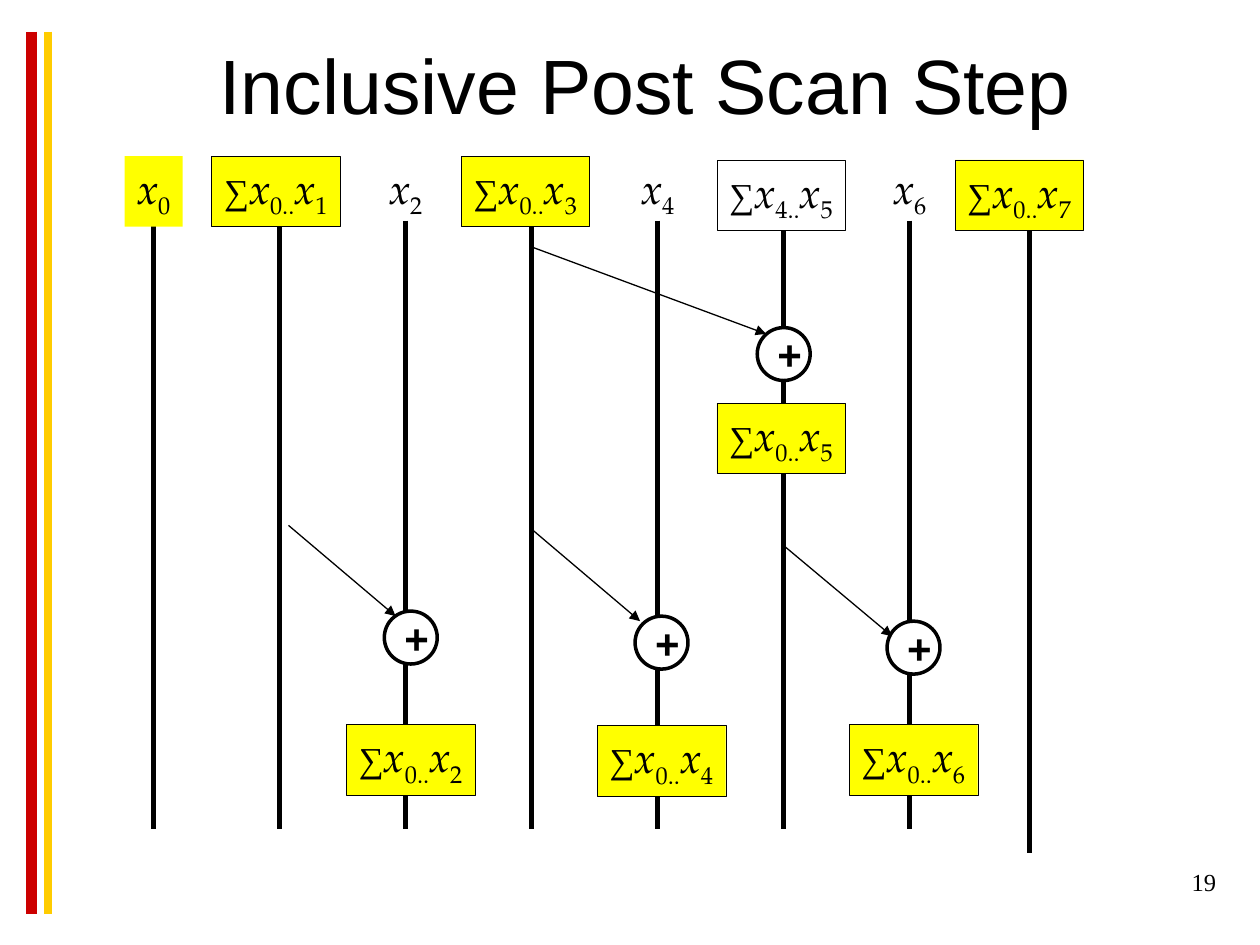
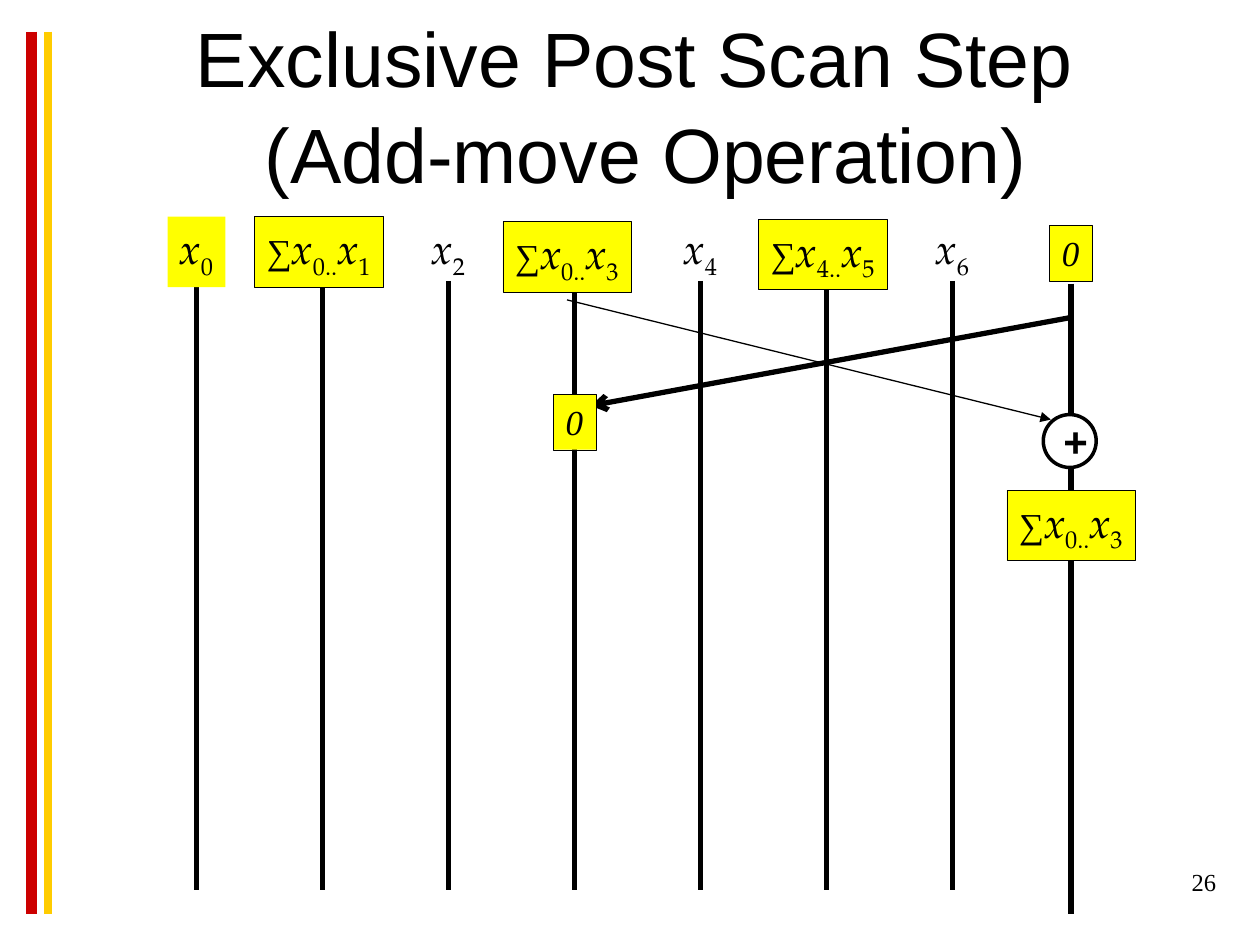
import pptx
import pptx.util
import pptx.dml.color
import pptx.enum.shapes
import pptx.enum.text
from lxml import etree
from pptx.oxml.ns import qn

Inches, Pt = pptx.util.Inches, pptx.util.Pt
SHAPE = pptx.enum.shapes.MSO_SHAPE
ANCHOR = pptx.enum.text.MSO_ANCHOR
ALIGN = pptx.enum.text.PP_ALIGN

# Shared look
BLACK, WHITE, YELLOW = "000000", "FFFFFF", "FFFF00"
SANS, SERIF, MATH = "Arial", "Times New Roman", "TeX Gyre Pagella"
BANDS = [(0.25, "CC0000", 6), (0.38, "FFCC00", 4.5)]  # x, colour, width
INPUT_SIZE, SUM_SIZE, ZERO_SIZE = (0.46, 0.56), (1.02, 0.56), (0.34, 0.44)
ADDER = 0.42

# Content: sums are (first, last, left, top, fill); adders and zeros (left, top);
# arrows (start, end, width, head)
SLIDES = [
    dict(
        title=["Inclusive Post Scan Step"], title_box=(0.5, 0.25, 9.25, 0.75),
        number="19", first_rail=(1.22, 1.75), last_rail=(8.17, 1.77),
        sums=[(0, 1, 1.68, 1.24, YELLOW), (0, 3, 3.66, 1.24, YELLOW),
              (4, 5, 5.69, 1.27, WHITE), (0, 7, 7.58, 1.27, YELLOW),
              (0, 5, 5.69, 3.2, YELLOW), (0, 2, 2.75, 5.75, YELLOW),
              (0, 4, 4.74, 5.76, YELLOW), (0, 6, 6.74, 5.75, YELLOW)],
        zeros=[],
        adders=[(6.01, 2.6), (3.05, 4.85), (5.04, 4.89), (7.04, 4.93)],
        arrows=[((4.22, 1.96), (6.08, 2.65), 0.75, "triangle"),
                ((2.29, 4.17), (3.14, 4.89), 0.75, "triangle"),
                ((4.22, 4.2), (5.08, 4.93), 0.75, "triangle"),
                ((6.22, 4.33), (7.08, 5.05), 0.75, "triangle")]),
    dict(
        title=["Exclusive Post Scan Step ", "(Add-move Operation)"],
        title_box=(0.5, 0.33, 9.25, 0.92),
        number="26", first_rail=(1.56, 2.23), last_rail=(8.5, 2.25),
        sums=[(0, 1, 2.02, 1.72, YELLOW), (4, 5, 6.02, 1.74, YELLOW),
              (0, 3, 3.99, 1.76, YELLOW), (0, 3, 7.99, 3.89, YELLOW)],
        zeros=[(8.33, 1.79), (4.39, 3.13)],
        adders=[(8.28, 3.29)],
        arrows=[((4.5, 2.38), (8.34, 3.33), 0.75, "triangle"),
                ((8.5, 2.52), (4.69, 3.22), 3, "arrow")]),
]


def rgb(value):
    return pptx.dml.color.RGBColor.from_string(value)


def add_run(p, text, size, font, bold=False, italic=False, subscript=False):
    r = p.add_run()
    r.text = text
    r.font.size, r.font.name = Pt(size), font
    r.font.bold, r.font.italic = bold, italic
    r.font.color.rgb = rgb(BLACK)
    if subscript:
        r.font._element.set("baseline", "-25000")


def add_line(s, start, end, color, width, head=None):
    c = s.shapes.add_connector(pptx.enum.shapes.MSO_CONNECTOR.STRAIGHT,
                               *map(Inches, (*start, *end)))
    c.line.color.rgb, c.line.width = rgb(color), Pt(width)
    if head:
        etree.SubElement(c.line._get_or_add_ln(), qn("a:tailEnd"), type=head)
    etree.SubElement(c._element.spPr, qn("a:effectLst"))


def add_text(s, box, align=ALIGN.LEFT):
    sp = s.shapes.add_textbox(*map(Inches, box))
    tf = sp.text_frame
    tf.word_wrap = True
    tf.paragraphs[0].alignment = align
    return tf


def add_node(s, kind, box, fill, line_width):
    sp = s.shapes.add_shape(kind, *map(Inches, box))
    sp.shadow.inherit = False
    if fill:
        sp.fill.solid()
        sp.fill.fore_color.rgb = rgb(fill)
    else:
        sp.fill.background()
    if line_width:
        sp.line.color.rgb, sp.line.width = rgb(BLACK), Pt(line_width)
    else:
        sp.line.fill.background()
    return sp.text_frame


def add_label(s, left, top, size, fill, line_width):
    tf = add_node(s, SHAPE.RECTANGLE, (left, top, *size), fill, line_width)
    tf.word_wrap = False
    tf.auto_size = pptx.enum.text.MSO_AUTO_SIZE.SHAPE_TO_FIT_TEXT
    tf.vertical_anchor = ANCHOR.TOP
    p = tf.paragraphs[0]
    p.alignment = ALIGN.LEFT
    return p


def add_variable(p, index):
    add_run(p, "x", 24, MATH, italic=True)
    add_run(p, index, 24, MATH, subscript=True)


def add_frame(s, title, title_box, number):
    for x, color, width in BANDS:
        add_line(s, (x, 0.25), (x, 7.25), color, width)
    tf = add_text(s, title_box, ALIGN.CENTER)
    tf.vertical_anchor = ANCHOR.MIDDLE
    tf.margin_top, tf.margin_bottom = Inches(0.05), 0
    p = tf.paragraphs[0]
    p.line_spacing = 1.04
    for i, text in enumerate(title):
        if i:
            p.add_line_break()
        add_run(p, text, 44, SANS)
    tf = add_text(s, (7.67, 6.83, 2.08, 0.5), ALIGN.RIGHT)
    add_run(tf.paragraphs[0], number, 14, SERIF)


def add_scan(s, first_rail, last_rail, sums, zeros, adders, arrows):
    # Rails: seven at one-inch steps, then a longer last one
    x0, top = first_rail
    for i in range(7):
        add_line(s, (x0 + i, top), (x0 + i, top + 4.83), BLACK, 3)
    add_line(s, last_rail, (last_rail[0], last_rail[1] + 5), BLACK, 3)

    # Adders and arrows
    for left, y in adders:
        tf = add_node(s, SHAPE.OVAL, (left, y, ADDER, ADDER), WHITE, 2)
        tf.vertical_anchor = ANCHOR.MIDDLE
        p = tf.paragraphs[0]
        p.alignment = ALIGN.CENTER
        add_run(p, "+", 24, SANS, bold=True)
    for start, end, width, head in arrows:
        add_line(s, start, end, BLACK, width, head)

    # Inputs on the even rails, partial sums, zeros
    for i in range(0, 7, 2):
        fill = YELLOW if i == 0 else None
        p = add_label(s, x0 + i - 0.23, top - 0.51, INPUT_SIZE, fill, 0)
        add_variable(p, str(i))
    for first, last, left, y, fill in sums:
        p = add_label(s, left, y, SUM_SIZE, fill, 0.25)
        add_run(p, "∑", 20, SERIF, italic=True)
        add_variable(p, f"{first}..")
        add_variable(p, str(last))
    for left, y in zeros:
        p = add_label(s, left, y, ZERO_SIZE, YELLOW, 0.25)
        add_run(p, "0", 20, SERIF, italic=True)


def main():
    prs = pptx.Presentation()
    prs.slide_width, prs.slide_height = Inches(10), Inches(7.5)
    for content in SLIDES:
        s = prs.slides.add_slide(prs.slide_layouts[6])
        scan = dict(content)
        add_frame(s, scan.pop("title"), scan.pop("title_box"), scan.pop("number"))
        add_scan(s, **scan)
    prs.save("out.pptx")


if __name__ == "__main__":
    main()
